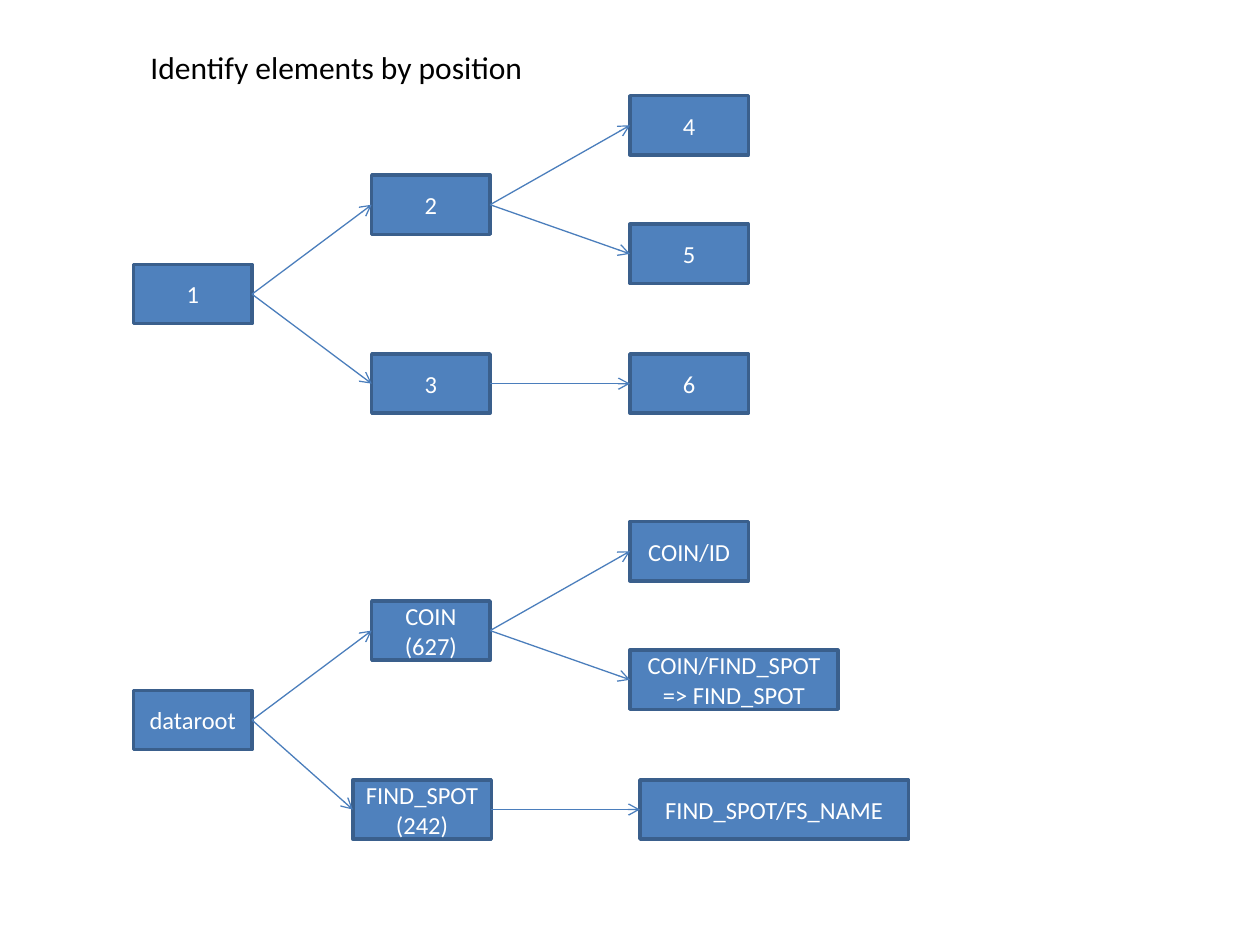
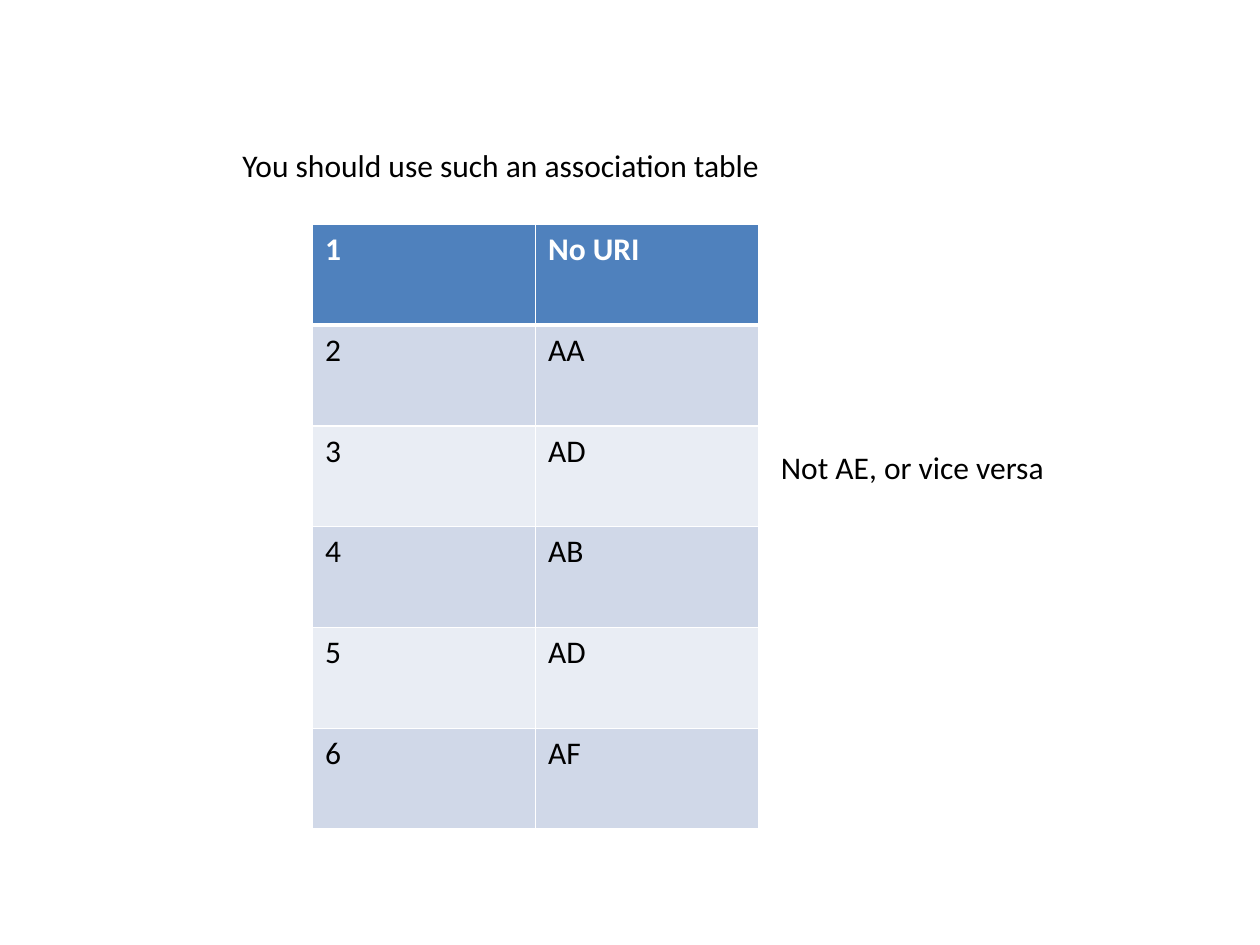
"""Build two slides: element trees and an association table."""
import pptx
import pptx.util
import pptx.dml.color
import pptx.enum.shapes
import pptx.enum.text
import pptx.oxml
import pptx.oxml.ns
from lxml import etree

Inches = pptx.util.Inches
Pt = pptx.util.Pt
Align = pptx.enum.text.PP_ALIGN
Anchor = pptx.enum.text.MSO_ANCHOR
qn = pptx.oxml.ns.qn

BLUE, EDGE, ARROW = "4F81BD", "3A5F8C", "4B7EBC"
WHITE, BLACK = "FFFFFF", "000000"
BANDS = ("D0D8E8", "E9EDF4")


def color(value):
    """Turn a hex string into a colour."""
    return pptx.dml.color.RGBColor.from_string(value)


def paint(target, value):
    """Give a shape or cell a solid fill."""
    target.fill.solid()
    target.fill.fore_color.rgb = color(value)


def cell_border(cell, side, width):
    """Draw one white border of a table cell."""
    properties = cell._tc.get_or_add_tcPr()
    line = etree.SubElement(properties, qn("a:" + side), w=str(Pt(width)))
    fill = etree.SubElement(line, qn("a:solidFill"))
    etree.SubElement(fill, qn("a:srgbClr"), val=WHITE)


class Sketch:
    """Holds the style and the current slide."""

    font = "Calibri"
    box_size = 14
    text_size = 18

    def __init__(self):
        """Start an empty deck."""
        self.deck = pptx.Presentation()
        self.deck.slide_width = Inches(10)
        self.deck.slide_height = Inches(7.5)
        self.page = None

    def add_lines(self, frame, lines, size, ink, align, bold=False):
        """Fill a text frame with one paragraph per line."""
        for index, line in enumerate(lines):
            para = frame.add_paragraph() if index else frame.paragraphs[0]
            para.alignment = align
            span = para.add_run()
            span.text = line
            span.font.name = self.font
            span.font.size = Pt(size)
            span.font.bold = bold
            span.font.color.rgb = color(ink)

    def new_page(self, title, left, top, width, height):
        """Add a slide and place its title."""
        self.page = self.deck.slides.add_slide(self.deck.slide_layouts[5])
        box = self.page.shapes.title
        box.left, box.top = Inches(left), Inches(top)
        box.width, box.height = Inches(width), Inches(height)
        box.text_frame.vertical_anchor = Anchor.MIDDLE
        self.add_lines(box.text_frame, [title], self.text_size, BLACK, Align.CENTER)

    def node(self, lines, left, top, width):
        """Draw one labelled box of a tree."""
        box = self.page.shapes.add_shape(
            pptx.enum.shapes.MSO_SHAPE.RECTANGLE,
            Inches(left), Inches(top), Inches(width), Inches(0.47))
        box.shadow.inherit = False
        paint(box, BLUE)
        box.line.color.rgb = color(EDGE)
        box.line.width = Pt(2)
        frame = box.text_frame
        frame.word_wrap = True
        frame.vertical_anchor = Anchor.MIDDLE
        frame.margin_left = frame.margin_right = Inches(0.05)
        self.add_lines(frame, lines, self.box_size, WHITE, Align.CENTER)
        return box

    def arrow(self, parent, child):
        """Link the right side of one box to the left side of another."""
        link = self.page.shapes.add_connector(
            pptx.enum.shapes.MSO_CONNECTOR.STRAIGHT, 0, 0, 0, 0)
        link.begin_connect(parent, 3)
        link.end_connect(child, 1)
        link.line.color.rgb = color(ARROW)
        link.line.width = Pt(0.75)
        etree.SubElement(link.line._get_or_add_ln(), qn("a:tailEnd"), type="arrow")
        etree.SubElement(link._element.spPr, qn("a:effectLst"))

    def tree(self, top, nodes):
        """Draw six boxes and the arrows between them."""
        offsets = (1.34, 0.63, 2.05, 0, 1.02, 2.05)
        boxes = [self.node(lines, left, top + offset, width)
                 for offset, (lines, left, width) in zip(offsets, nodes)]
        for parent, child in ((0, 1), (0, 2), (1, 3), (1, 4), (2, 5)):
            self.arrow(boxes[parent], boxes[child])

    def table(self, rows, left, top, column_width, row_height):
        """Draw a banded table with a header row."""
        columns = len(rows[0])
        table = self.page.shapes.add_table(
            len(rows), columns, Inches(left), Inches(top),
            Inches(column_width * columns), Inches(row_height * len(rows))).table
        for y, row in enumerate(rows):
            header = y == 0
            for x, value in enumerate(row):
                cell = table.cell(y, x)
                self.add_lines(cell.text_frame, [value], self.text_size,
                               WHITE if header else BLACK, Align.LEFT, header)
                for side in ("lnL", "lnR", "lnT", "lnB"):
                    thick = (header and side == "lnB") or (y == 1 and side == "lnT")
                    cell_border(cell, side, 3 if thick else 1)
                paint(cell, BLUE if header else BANDS[(y - 1) % 2])

    def note(self, text, left, top, width, height):
        """Add a plain line of text."""
        box = self.page.shapes.add_textbox(
            Inches(left), Inches(top), Inches(width), Inches(height))
        box.text_frame.word_wrap = True
        box.text_frame.auto_size = pptx.enum.text.MSO_AUTO_SIZE.SHAPE_TO_FIT_TEXT
        self.add_lines(box.text_frame, [text], self.text_size, BLACK, Align.LEFT)


ROOT, MIDDLE, LEAF, NODE_WIDTH = 1.06, 2.95, 5, 0.94
COLUMNS = (ROOT, MIDDLE, MIDDLE, LEAF, LEAF, LEAF)

sketch = Sketch()

sketch.new_page("Identify elements by position", 0.5, 0.3, 4.34, 0.46)
sketch.tree(0.76, [([str(number)], left, NODE_WIDTH)
                   for number, left in enumerate(COLUMNS, 1)])
sketch.tree(4.14, [
    (["dataroot"], ROOT, NODE_WIDTH),
    (["COIN", "(627)"], MIDDLE, NODE_WIDTH),
    (["FIND_SPOT", "(242)"], 2.8, 1.1),
    (["COIN/ID"], LEAF, NODE_WIDTH),
    (["COIN/FIND_SPOT", "=> FIND_SPOT"], LEAF, 1.65),
    (["FIND_SPOT/FS_NAME"], 5.08, 2.13),
])

sketch.new_page("You should use such an association table", 1.22, 0.99, 5.51, 0.63)
sketch.table([("1", "No URI"), ("2", "AA"), ("3", "AD"),
              ("4", "AB"), ("5", "AD"), ("6", "AF")], 2.48, 1.78, 1.77, 0.8)
sketch.note("Not AE, or vice versa", 6.1, 3.51, 2.6, 0.4)

sketch.deck.save("out.pptx")
